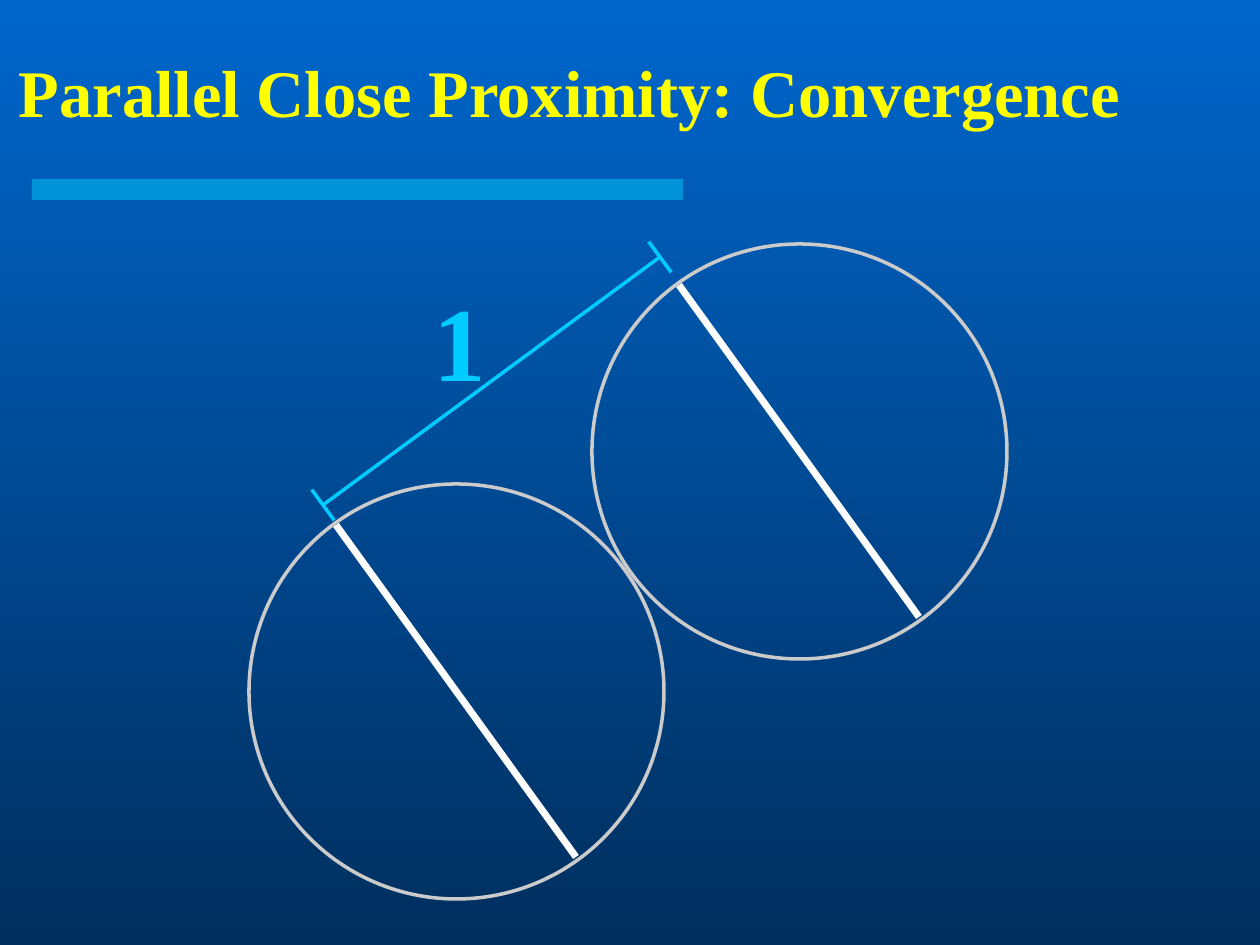
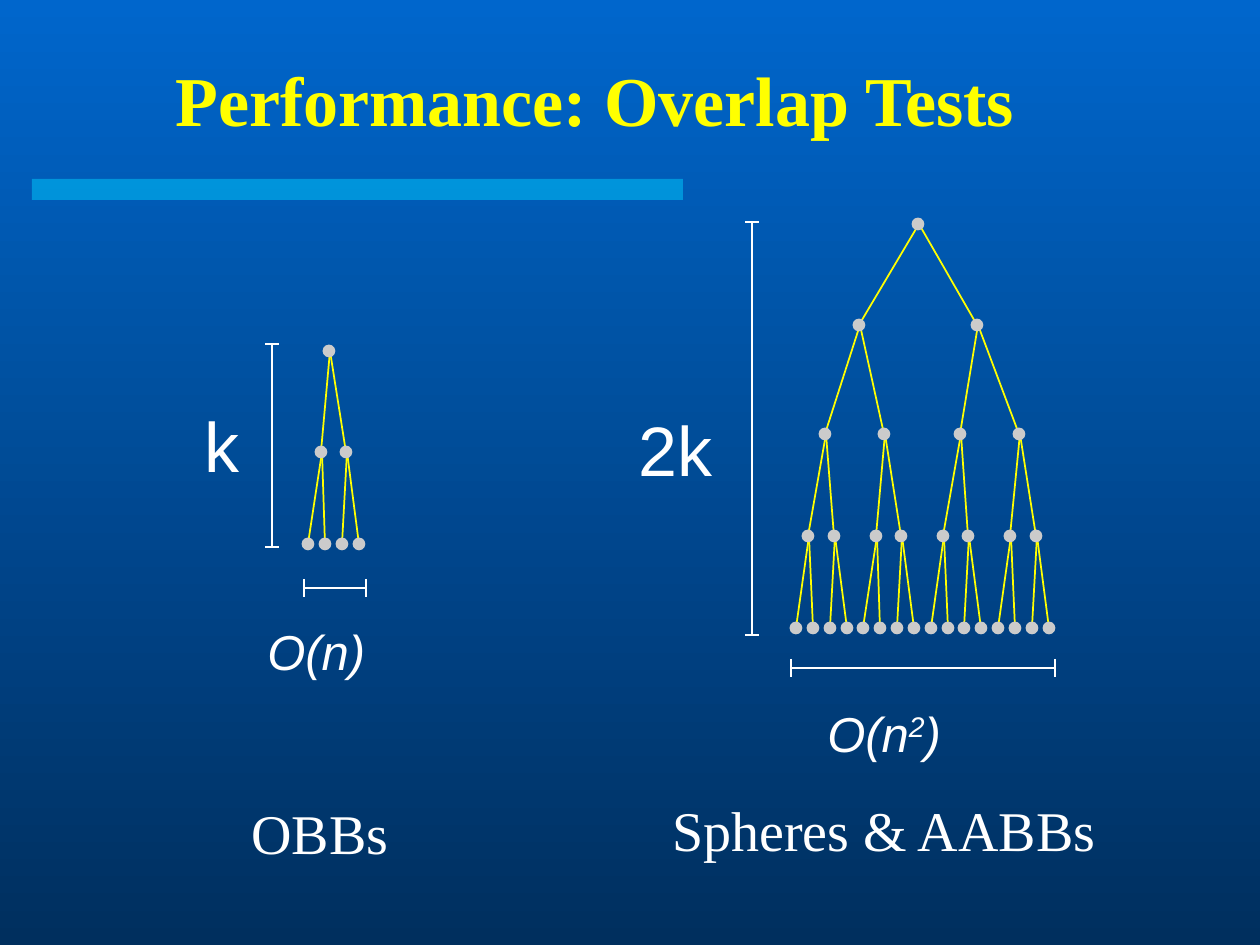
from math import hypot

from lxml.etree import SubElement
from pptx import Presentation
from pptx.dml.color import RGBColor
from pptx.enum.shapes import MSO_CONNECTOR, MSO_SHAPE
from pptx.enum.text import MSO_ANCHOR, MSO_AUTO_SIZE, PP_ALIGN
from pptx.oxml.ns import qn
from pptx.util import Emu, Pt

EMU_PER_PX = 914400 / 126
SERIF, SANS = "Times New Roman", "Arial"
SKY, NAVY, CYAN = "0066CC", "002F5E", "00CCFF"
YELLOW, WHITE, GREY = "FFFF00", "FFFFFF", "CBCBCB"
BAND = (32, 179, 651, 21)

# Convergence: two touching circles, each with one diameter
CONVERGENCE_TITLE = ("Parallel Close Proximity: Convergence", (0, 24, 1140, 134), 38)
CIRCLE_SIZE = 415
CIRCLE_CORNERS = [(592, 244), (249, 484)]
DIAMETER = [(87, 41), (327, 373)]  # ends, measured from the circle's corner
GAP = ((323, 505), (660, 257))
GAP_LABEL = ("1", (416, 270, 87, 139))

# Overlap tests: every node has two children in the next level
OVERLAP_TITLE = ("Performance: Overlap Tests", (37, 40, 1116, 117), 40)
NODE_SIZE = 11
TREES = [
    {
        "levels": [
            (351, [329]),
            (452, [321, 346]),
            (544, [308, 325, 342, 359]),
        ],
        "height": ((272, 344), (272, 547)),
        "height label": ("k", (182, 396, 80, 96)),
        "width": ((304, 588), (366, 588)),
        "cost": (("O(n)", ""), (255, 615, 124, 71)),
        "name": ("OBBs", (229, 792, 182, 79)),
    },
    {
        "levels": [
            (224, [918]),
            (325, [859, 977]),
            (434, [825, 884, 960, 1019]),
            (536, [808, 834, 876, 901, 943, 968, 1010, 1036]),
            (628, [796 + round(i * 16.85) for i in range(16)]),
        ],
        "height": ((752, 222), (752, 635)),
        "height label": ("2k", (615, 400, 120, 96)),
        "width": ((791, 668), (1055, 668)),
        "cost": (("O(n", "2", ")"), (815, 697, 139, 71)),
        "name": ("Spheres & AABBs", (644, 789, 480, 79)),
    },
]


def px(length):
    return Emu(round(length * EMU_PER_PX))


def rgb(colour):
    return RGBColor.from_string(colour)


def add_text(page, spans, place, size, font=SERIF, colour=WHITE,
             bold=False, italic=False, align=PP_ALIGN.CENTER):
    """Add a one-line label; every second span is superscript."""
    box = page.shapes.add_textbox(*map(px, place))
    frame = box.text_frame
    frame.word_wrap = False
    frame.auto_size = MSO_AUTO_SIZE.SHAPE_TO_FIT_TEXT
    para = frame.paragraphs[0]
    para.alignment = align
    for number, words in enumerate(spans):
        if not words:
            continue
        span = para.add_run()
        span.text = words
        span.font.name, span.font.size = font, Pt(size)
        span.font.bold, span.font.italic = bold, italic
        span.font.color.rgb = rgb(colour)
        if number % 2:
            span.font._element.set("baseline", "30000")
    return box


def add_line(page, start, end, colour, width):
    line = page.shapes.add_connector(
        MSO_CONNECTOR.STRAIGHT, *map(px, (*start, *end)))
    line.line.color.rgb = rgb(colour)
    line.line.width = Pt(width)
    SubElement(line._element.spPr, qn("a:effectLst"))


def add_circle(page, left, top, size, width, fill=None):
    circle = page.shapes.add_shape(
        MSO_SHAPE.OVAL, *map(px, (left, top, size, size)))
    circle.shadow.inherit = False
    circle.line.color.rgb = rgb(GREY)
    circle.line.width = Pt(width)
    if fill:
        circle.fill.solid()
        circle.fill.fore_color.rgb = rgb(fill)
    else:
        circle.fill.background()


def add_measure(page, start, end, cap, colour, width):
    """Draw a line with a square cap, reaching cap px to each side, at both ends."""
    add_line(page, start, end, colour, width)
    run, rise = end[0] - start[0], end[1] - start[1]
    length = hypot(run, rise)
    across, down = -rise / length * cap, run / length * cap
    for x, y in (start, end):
        add_line(page, (x - across, y - down), (x + across, y + down), colour, width)


def add_page(deck, title, place, size):
    page = deck.slides.add_slide(deck.slide_layouts[6])
    band = page.shapes.add_shape(MSO_SHAPE.RECTANGLE, *map(px, BAND))
    band.shadow.inherit = False
    band.line.fill.background()
    band.fill.solid()
    band.fill.fore_color.rgb = rgb(CYAN)
    colour = band._element.spPr.find(".//" + qn("a:srgbClr"))
    SubElement(colour, qn("a:alpha"), val="50000")

    box = add_text(page, [title], place, size, colour=YELLOW, bold=True)
    box.text_frame.auto_size = MSO_AUTO_SIZE.NONE
    box.text_frame.word_wrap = True
    box.text_frame.vertical_anchor = MSO_ANCHOR.MIDDLE
    return page


def set_background(deck):
    fill = deck.slide_master.background.fill
    fill.gradient()
    fill.gradient_angle = 270
    for stop, colour, position in zip(fill.gradient_stops, (SKY, NAVY), (0, 1)):
        stop.color.rgb = rgb(colour)
        stop.position = position


def add_tree(page, levels):
    for (y, parents), (child_y, children) in zip(levels, levels[1:]):
        for number, x in enumerate(children):
            add_line(page, (parents[number // 2] + 1, y), (x, child_y), YELLOW, 1)
    for y, nodes in levels:
        for x in nodes:
            add_circle(page, x - NODE_SIZE / 2, y - NODE_SIZE / 2, NODE_SIZE, 1, GREY)


def build_convergence(deck):
    page = add_page(deck, *CONVERGENCE_TITLE)
    for left, top in CIRCLE_CORNERS:
        start, end = [(left + x, top + y) for x, y in DIAMETER]
        add_line(page, start, end, WHITE, 4)
        add_circle(page, left, top, CIRCLE_SIZE, 2)
    add_measure(page, *GAP, 19, CYAN, 2)
    label, place = GAP_LABEL
    add_text(page, [label], place, 60, colour=CYAN, bold=True)


def build_overlap_tests(deck):
    page = add_page(deck, *OVERLAP_TITLE)
    for tree in TREES:
        add_tree(page, tree["levels"])
        add_measure(page, *tree["height"], 7, WHITE, 1)
        add_measure(page, *tree["width"], 9, WHITE, 1)
        label, place = tree["height label"]
        add_text(page, [label], place, 40, SANS)
        add_text(page, *tree["cost"], 28, SANS, italic=True, align=PP_ALIGN.LEFT)
        name, place = tree["name"]
        add_text(page, [name], place, 32)


def main():
    deck = Presentation()
    deck.slide_width, deck.slide_height = px(1260), px(945)
    set_background(deck)
    build_convergence(deck)
    build_overlap_tests(deck)
    deck.save("out.pptx")


if __name__ == "__main__":
    main()
